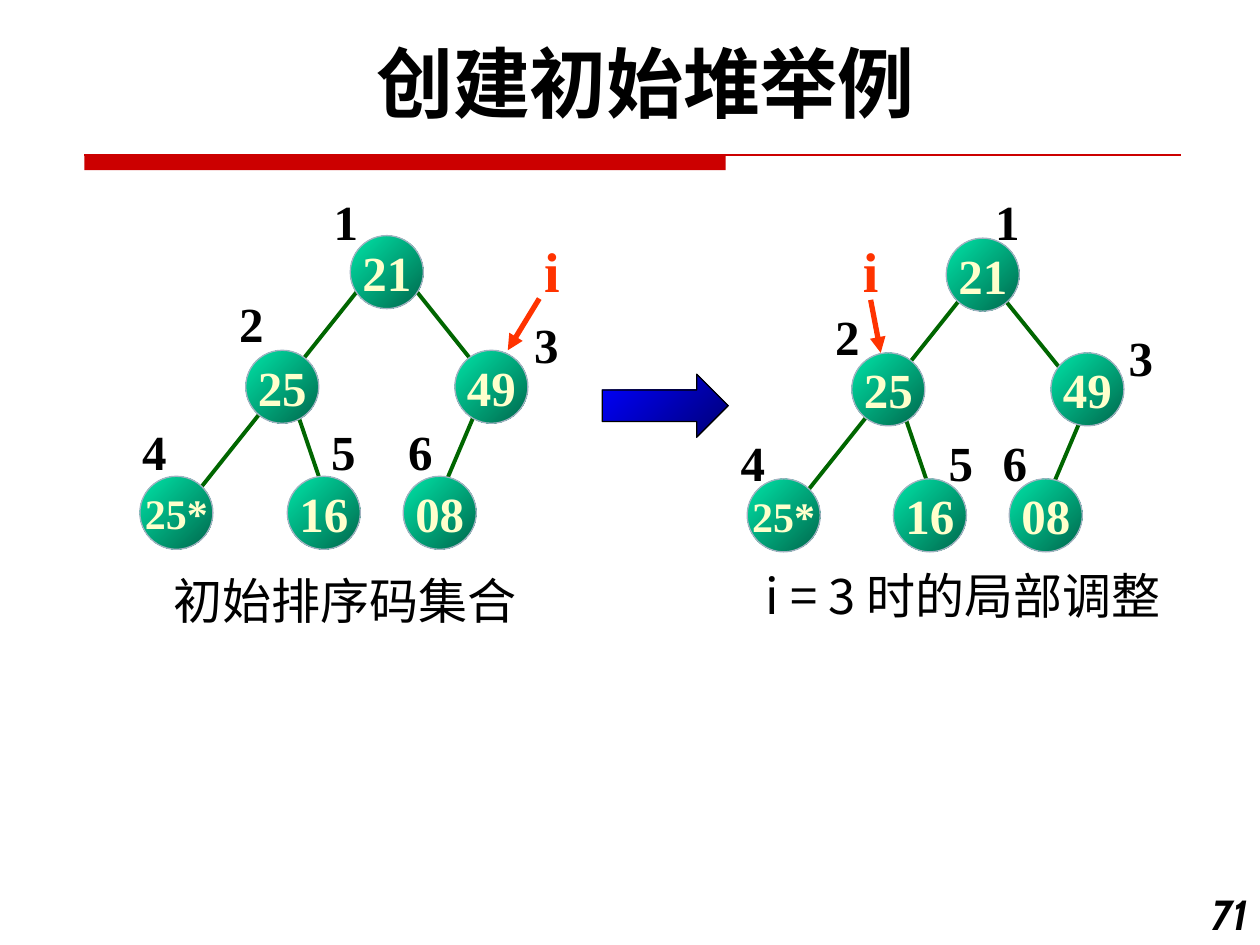
from lxml.etree import SubElement
from pptx import Presentation
from pptx.dml.color import RGBColor
from pptx.enum.shapes import MSO_CONNECTOR, MSO_SHAPE
from pptx.enum.text import MSO_ANCHOR, MSO_AUTO_SIZE, PP_ALIGN
from pptx.oxml.ns import qn
from pptx.util import Inches, Pt

BLACK = RGBColor(0x00, 0x00, 0x00)
RED = RGBColor(0xCC, 0x00, 0x00)
ORANGE = RGBColor(0xFF, 0x33, 0x00)
EDGE_GREEN = RGBColor(0x00, 0x66, 0x00)
NODE_LIGHT = RGBColor(0x00, 0xE4, 0xA8)
NODE_DARK = RGBColor(0x00, 0x68, 0x4C)
NODE_OUTLINE = RGBColor(0xA3, 0xB2, 0xC1)
CREAM = RGBColor(0xFF, 0xFF, 0xCC)
ARROW_LIGHT = RGBColor(0x00, 0x00, 0xFF)
ARROW_DARK = RGBColor(0x00, 0x00, 0x76)
SERIF = "Times New Roman"
HAN = "Noto Sans CJK SC"

TITLE = "创建初始堆举例"
PAGE_NUMBER = "71"
NODE_SIZE = 0.58
ROWS = (0, 0.91, 1.91)
NODES = (("21", 0), ("25", 1), ("49", 1), ("25*", 2), ("16", 2), ("08", 2))
SHARED_EDGES = (
    ((1.75, 0.41), (0.42, 2.08)),
    ((1.25, 1.41), (1.42, 1.91)),
    ((2.66, 1.41), (2.41, 2.00)),
)
TREES = (
    {
        "origin": (1.11, 1.87),
        "columns": (1.67, 0.84, 2.50, 0, 1.17, 2.09),
        "right_edge": ((2.17, 0.41), (2.84, 1.25)),
        "numbers": ((1.44, -0.40), (0.69, 0.41), (3.03, 0.58),
                    (-0.08, 1.43), (1.42, 1.43), (2.03, 1.43)),
        "pointer": ((3.17, 0.50), (2.92, 0.91)),
        "pointer_label": (3.11, -0.04),
        "caption": ("初始排序码集合", 1.28, 4.48, 2.94),
    },
    {
        "origin": (5.93, 1.89),
        "columns": (1.58, 0.83, 2.41, 0, 1.16, 2.08),
        "right_edge": ((1.98, 0.41), (2.65, 1.24)),
        "numbers": ((1.87, -0.42), (0.60, 0.49), (2.93, 0.66),
                    (-0.15, 1.49), (1.50, 1.49), (1.93, 1.49)),
        "pointer": ((0.98, 0.49), (1.06, 0.91)),
        "pointer_label": (0.82, -0.06),
        "caption": ("i = 3 时的局部调整", 5.98, 4.44, 3.74),
    },
)


def write(shape, text, size, font, color, bold=False, align=PP_ALIGN.LEFT):
    paragraph = shape.text_frame.paragraphs[0]
    paragraph.text = text
    paragraph.alignment = align
    paragraph.font.name = font
    paragraph.font.size = Pt(size)
    paragraph.font.bold = bold
    paragraph.font.color.rgb = color
    return paragraph


def add_text(shapes, box, *style, wrap=False, **options):
    shape = shapes.add_textbox(*map(Inches, box))
    shape.text_frame.word_wrap = wrap
    shape.text_frame.auto_size = MSO_AUTO_SIZE.SHAPE_TO_FIT_TEXT
    return write(shape, *style, **options)


def add_line(shapes, start, end, color, width, arrow=False):
    line = shapes.add_connector(MSO_CONNECTOR.STRAIGHT, *map(Inches, (*start, *end)))
    line.line.color.rgb = color
    line.line.width = Pt(width)
    if arrow:
        SubElement(line.line._get_or_add_ln(), qn("a:tailEnd"), type="triangle")
    SubElement(line._element.spPr, qn("a:effectLst"))


def add_gradient_shape(shapes, kind, box, colors, outline):
    shape = shapes.add_shape(kind, *map(Inches, box))
    shape.shadow.inherit = False
    shape.fill.gradient()
    shape.fill.gradient_angle = 315
    for stop, color, position in zip(shape.fill.gradient_stops, colors, (0, 1)):
        stop.color.rgb = color
        stop.position = position
    shape.line.color.rgb = outline
    shape.line.width = Pt(0.75)
    return shape


def add_tree(slide, tree):
    left, top = tree["origin"]

    def place(point):
        return left + point[0], top + point[1]

    shapes = slide.shapes.add_group_shape().shapes
    for start, end in (*SHARED_EDGES, tree["right_edge"]):
        add_line(shapes, place(start), place(end), EDGE_GREEN, 2.25)
    for (value, row), column in zip(NODES, tree["columns"]):
        box = (*place((column, ROWS[row])), NODE_SIZE, NODE_SIZE)
        node = add_gradient_shape(shapes, MSO_SHAPE.OVAL, box,
                                  (NODE_LIGHT, NODE_DARK), NODE_OUTLINE)
        node.text_frame.word_wrap = False
        node.text_frame.vertical_anchor = MSO_ANCHOR.MIDDLE
        write(node, value, 28 if len(value) == 2 else 24, SERIF, CREAM,
              bold=True, align=PP_ALIGN.CENTER)
    for number, point in enumerate(tree["numbers"], start=1):
        add_text(shapes, (*place(point), 0.4, 0.57), str(number), 28, SERIF, BLACK, bold=True)
    add_line(shapes, *map(place, tree["pointer"]), ORANGE, 3, arrow=True)
    add_text(shapes, (*place(tree["pointer_label"]), 0.32, 0.63), "i", 32, SERIF, ORANGE, bold=True)

    text, caption_left, caption_top, width = tree["caption"]
    caption = add_text(slide.shapes, (caption_left, caption_top, width, 0.57), text, 28, HAN, BLACK)
    SubElement(caption.runs[0]._r.get_or_add_rPr(), qn("a:ea"), typeface=HAN)


def main():
    presentation = Presentation()
    presentation.slide_width = Inches(10)
    presentation.slide_height = Inches(7.5)
    slide = presentation.slides.add_slide(presentation.slide_layouts[5])

    title = slide.shapes.title
    title.left, title.top, title.width, title.height = map(Inches, (0.5, 0.23, 9.25, 0.84))
    title.text_frame.auto_size = MSO_AUTO_SIZE.NONE
    title.text_frame.vertical_anchor = MSO_ANCHOR.MIDDLE
    write(title, TITLE, 44, "Cabin", BLACK, bold=True, align=PP_ALIGN.CENTER)

    bar = slide.shapes.add_shape(MSO_SHAPE.RECTANGLE, *map(Inches, (0.67, 1.23, 5.09, 0.12)))
    bar.shadow.inherit = False
    bar.fill.solid()
    bar.fill.fore_color.rgb = RED
    bar.line.fill.background()
    add_line(slide.shapes, (0.67, 1.23), (9.37, 1.23), RED, 0.75)

    for tree in TREES:
        add_tree(slide, tree)
    add_gradient_shape(slide.shapes, MSO_SHAPE.RIGHT_ARROW, (4.78, 2.97, 1, 0.5),
                       (ARROW_LIGHT, ARROW_DARK), BLACK)
    page_number = add_text(slide.shapes, (9.33, 7, 0.67, 0.5), PAGE_NUMBER, 24, "Cabin", BLACK,
                           wrap=True, bold=True, align=PP_ALIGN.RIGHT)
    page_number.font.italic = True
    presentation.save("out.pptx")


if __name__ == "__main__":
    main()
